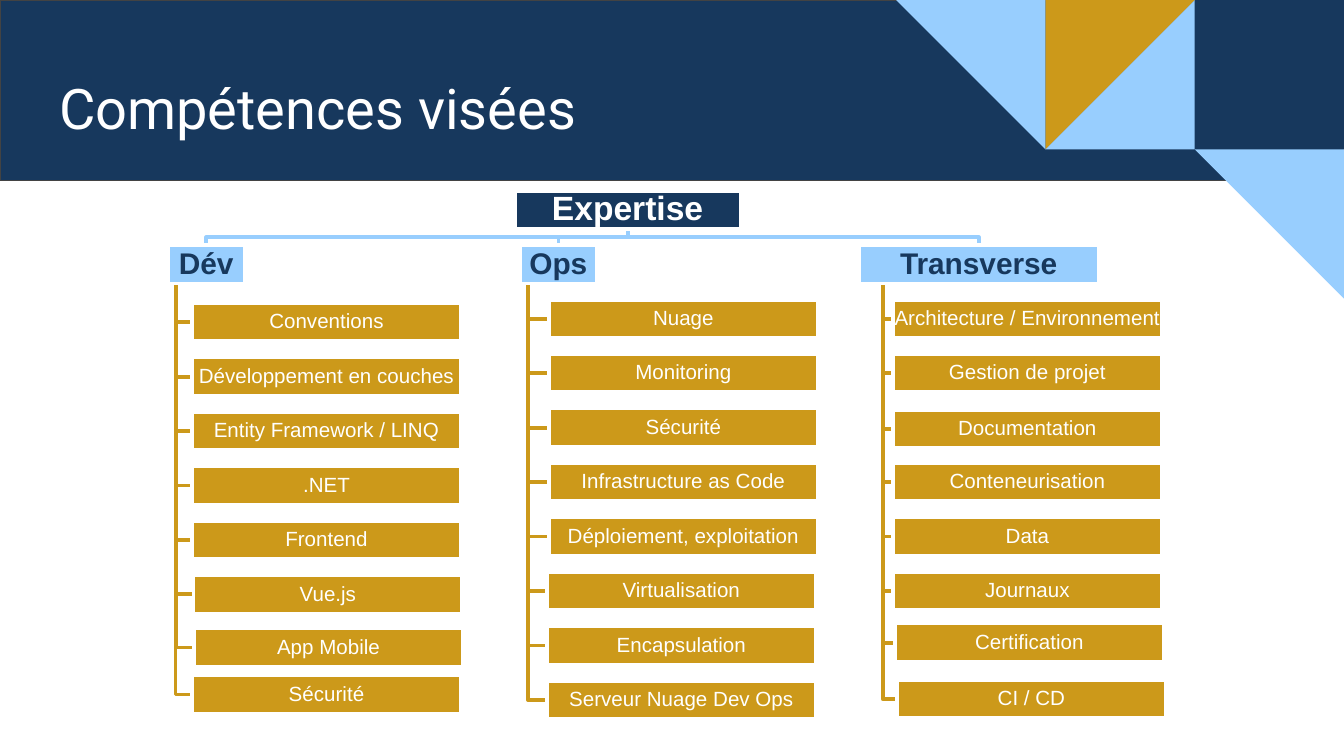
"""Build the "Compétences visées" slide: a skills tree in three branches."""
from typing import NamedTuple

from pptx import Presentation
from pptx.dml.color import RGBColor
from pptx.enum.shapes import MSO_SHAPE
from pptx.enum.text import MSO_ANCHOR, MSO_AUTO_SIZE, PP_ALIGN
from pptx.util import Inches, Pt

NAVY = RGBColor(0x17, 0x38, 0x5D)
SKY = RGBColor(0x98, 0xCE, 0xFE)
GOLD = RGBColor(0xCC, 0x99, 0x1A)
WHITE = RGBColor(0xFF, 0xFF, 0xFF)
GREY = RGBColor(0x43, 0x43, 0x43)

COLUMNS, ROWS = 100, 56.25
UNIT = Inches(10) / COLUMNS
TILE = COLUMNS / 9
BOX_HEIGHT = 2.85
ROOT_TOP, HEAD_TOP = 14.2, 18.25
ITEM_WIDTH, ITEM_PITCH = 20, 4.05
TRUNK_SHARE = 0.1
BUS_ROW = 17.65


class Tile(NamedTuple):
    """A decorative tile, placed in tile columns and rows."""

    column: int
    row: int
    color: RGBColor
    shape: MSO_SHAPE = MSO_SHAPE.RIGHT_TRIANGLE
    rotation: int = 0


class Style(NamedTuple):
    """The look of one level of the tree."""

    fill: RGBColor
    ink: RGBColor
    size: int
    bold: bool


class Item(NamedTuple):
    """A skill and its small offset from the branch grid."""

    label: str
    right: float = 0
    down: float = 0


class Branch(NamedTuple):
    """A heading with the skills below it."""

    label: str
    left: float
    width: float
    items_left: float
    items_top: float
    items: list[Item]


ROOT_STYLE = Style(NAVY, WHITE, 18, True)
HEAD_STYLE = Style(SKY, NAVY, 16, True)
ITEM_STYLE = Style(GOLD, WHITE, 11, False)

TILES = [
    Tile(8, 0, NAVY, MSO_SHAPE.RECTANGLE),
    Tile(7, 0, SKY, rotation=270),
    Tile(7, 0, GOLD, rotation=90),
    Tile(6, 0, SKY, rotation=180),
    Tile(8, 1, SKY, rotation=180),
]

BRANCHES = [
    Branch("Dév", 12.5, 5.7, 14.3, 22.55, [
        Item("Conventions"), Item("Développement en couches"),
        Item("Entity Framework / LINQ"), Item(".NET"), Item("Frontend"),
        Item("Vue.js", 0.1), Item("App Mobile", 0.15, -0.1),
        Item("Sécurité", 0, -0.65),
    ]),
    Branch("Ops", 38.7, 5.7, 40.85, 22.3, [
        Item("Nuage"), Item("Monitoring"), Item("Sécurité"),
        Item("Infrastructure as Code"), Item("Déploiement, exploitation"),
        Item("Virtualisation", -0.15), Item("Encapsulation", -0.15),
        Item("Serveur Nuage Dev Ops", -0.15),
    ]),
    Branch("Transverse", 63.9, 17.85, 66.45, 22.3, [
        Item("Architecture / Environnement"), Item("Gestion de projet"),
        Item("Documentation", 0, 0.1), Item("Conteneurisation"), Item("Data"),
        Item("Journaux"), Item("Certification", 0.15, -0.2),
        Item("CI / CD", 0.3, -0.05),
    ]),
]


def span_of(units: float) -> int:
    """Turn grid units into a slide length."""
    return round(units * UNIT)


def add_block(page, shape, left: float, top: float, width: float, height: float,
              fill: RGBColor):
    """Add a flat filled shape without a line."""
    box = page.shapes.add_shape(shape, *map(span_of, (left, top, width, height)))
    box.shadow.inherit = False
    box.fill.solid()
    box.fill.fore_color.rgb = fill
    box.line.fill.background()
    return box


def add_label(page, text: str, left: float, top: float, width: float,
              style: Style) -> None:
    """Add a white-edged rectangle with centred text."""
    box = add_block(page, MSO_SHAPE.RECTANGLE, left, top, width, BOX_HEIGHT, style.fill)
    box.line.color.rgb = WHITE
    box.line.width = Pt(2)
    frame = box.text_frame
    frame.text = text
    frame.word_wrap = False
    frame.vertical_anchor = MSO_ANCHOR.MIDDLE
    frame.margin_left = frame.margin_right = Inches(0.01)
    frame.margin_top = frame.margin_bottom = Inches(0.01)
    para = frame.paragraphs[0]
    para.alignment = PP_ALIGN.CENTER
    para.line_spacing = 0.9
    font = para.runs[0].font
    font.name, font.size, font.bold = "Arial", Pt(style.size), style.bold
    font.color.rgb = style.ink


def add_path(page, points: list[tuple[float, float]], color: RGBColor) -> None:
    """Draw an open line through the given grid points."""
    start, *others = [(span_of(x), span_of(y)) for x, y in points]
    builder = page.shapes.build_freeform(*start)
    builder.add_line_segments(others, close=False)
    path = builder.convert_to_shape()
    path.shadow.inherit = False
    path.fill.background()
    path.line.color.rgb = color
    path.line.width = Pt(2)


def add_branch(page, branch: Branch, root_middle: float) -> None:
    """Draw one branch: its lines, its heading and its skills."""
    head_middle = branch.left + branch.width / 2
    add_path(page, [(root_middle, ROOT_TOP + BOX_HEIGHT), (root_middle, BUS_ROW),
                    (head_middle, BUS_ROW), (head_middle, HEAD_TOP)], SKY)
    trunk = branch.left + branch.width * TRUNK_SHARE
    head_bottom = HEAD_TOP + BOX_HEIGHT
    places = [(item.label, branch.items_left + item.right,
               branch.items_top + row * ITEM_PITCH + item.down)
              for row, item in enumerate(branch.items)]
    for _, left, top in reversed(places):
        middle = top + BOX_HEIGHT / 2
        add_path(page, [(trunk, head_bottom), (trunk, middle), (left, middle)], GOLD)
    add_label(page, branch.label, branch.left, HEAD_TOP, branch.width, HEAD_STYLE)
    for label, left, top in places:
        add_label(page, label, left, top, ITEM_WIDTH, ITEM_STYLE)


def add_banner(page) -> None:
    """Draw the title band with its tiles and set the title on it."""
    band = add_block(page, MSO_SHAPE.RECTANGLE, 0, 0.05, COLUMNS, 13.4, NAVY)
    band.line.color.rgb = GREY
    band.line.width = Pt(0.75)
    for tile in TILES:
        block = add_block(page, tile.shape, tile.column * TILE, tile.row * TILE,
                          TILE, TILE, tile.color)
        block.rotation = tile.rotation
    title = page.shapes.title
    band.element.getparent().append(title.element)
    title.left, title.top, title.width, title.height = map(span_of, (3.4, 4.5, 93.2, 6.6))
    frame = title.text_frame
    frame.text = "Compétences visées"
    frame.auto_size = MSO_AUTO_SIZE.NONE
    frame.vertical_anchor = MSO_ANCHOR.TOP
    frame.margin_left = frame.margin_right = Inches(0.1)
    frame.margin_top = frame.margin_bottom = Inches(0.1)
    para = frame.paragraphs[0]
    para.alignment = PP_ALIGN.LEFT
    font = para.runs[0].font
    font.name, font.size = "Roboto", Pt(30)
    font.color.rgb = WHITE


def main() -> None:
    """Build the deck and save it."""
    deck = Presentation()
    deck.slide_width, deck.slide_height = span_of(COLUMNS), span_of(ROWS)
    page = deck.slides.add_slide(deck.slide_layouts[5])
    add_banner(page)
    root_left, root_width = 38.3, 16.8
    for branch in reversed(BRANCHES):
        add_branch(page, branch, root_left + root_width / 2)
    add_label(page, "Expertise", root_left, ROOT_TOP, root_width, ROOT_STYLE)
    deck.save("out.pptx")


if __name__ == "__main__":
    main()
